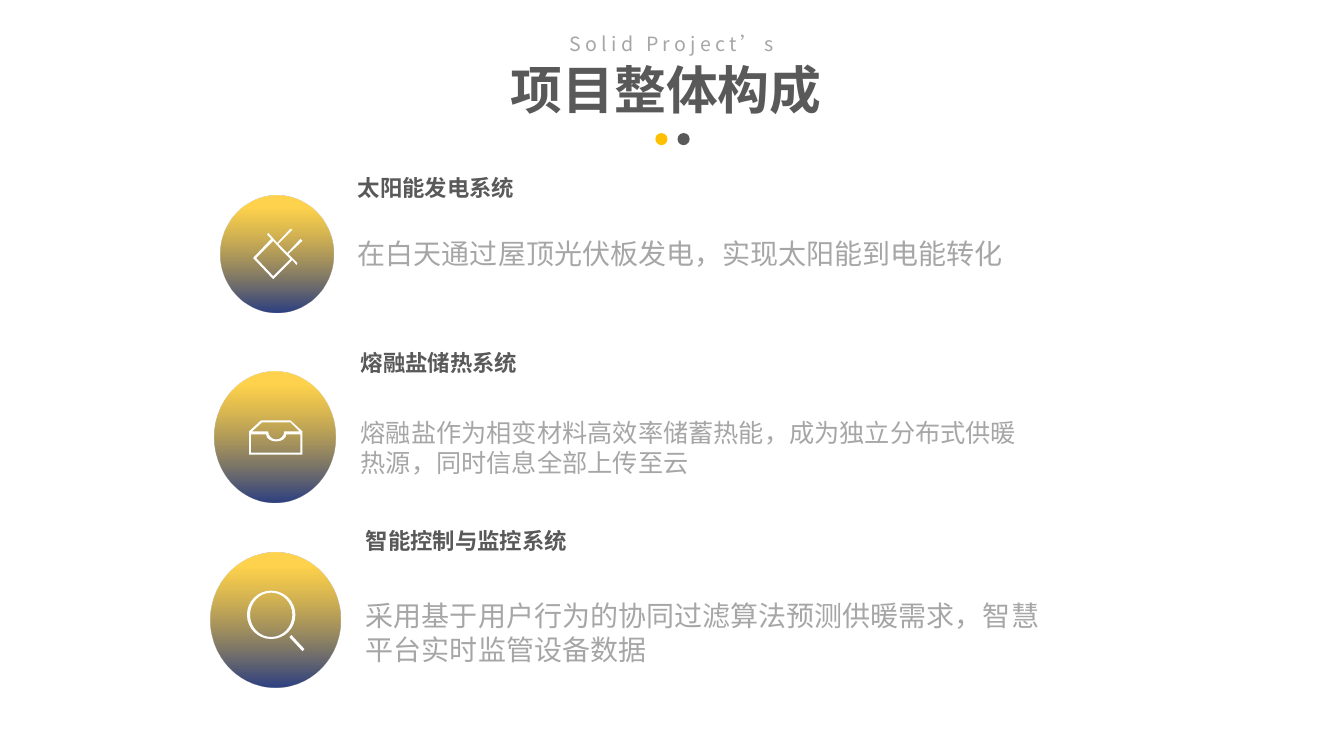
import math
from dataclasses import dataclass

from lxml import etree
from pptx import Presentation
from pptx.dml.color import RGBColor
from pptx.enum.shapes import MSO_SHAPE
from pptx.enum.text import MSO_ANCHOR, MSO_AUTO_SIZE, PP_ALIGN
from pptx.oxml.ns import qn
from pptx.shapes.autoshape import Shape
from pptx.slide import Slide
from pptx.text.text import TextFrame
from pptx.util import Inches, Pt

OVAL = MSO_SHAPE.OVAL
CENTER, LEFT = PP_ALIGN.CENTER, PP_ALIGN.LEFT
TOP = MSO_ANCHOR.TOP
NO_FIT, GROW = MSO_AUTO_SIZE.NONE, MSO_AUTO_SIZE.SHAPE_TO_FIT_TEXT
SECTION_LAYOUT = 2
QUARTER_BEND = 0.5523  # control distance of a Bezier quarter circle

# A step is (x, y) for a line, or two control points and an end for a curve.
Step = tuple[float, ...]
Contour = list[Step]
Box = tuple[float, float, float, float]


@dataclass(frozen=True)
class Theme:
    dark: RGBColor = RGBColor(0x59, 0x59, 0x59)
    muted: RGBColor = RGBColor(0xA6, 0xA6, 0xA6)
    accent: RGBColor = RGBColor(0xFF, 0xC0, 0x00)
    navy: RGBColor = RGBColor(0x2D, 0x40, 0x82)
    white: RGBColor = RGBColor(0xFF, 0xFF, 0xFF)
    display_font: str = "League Spartan"
    text_font: str = "Noto Sans CJK SC"
    heading_size: int = 37
    kicker_size: int = 14
    name_size: int = 16
    badge_opacity: int = 70


THEME = Theme()


@dataclass(frozen=True)
class TextStyle:
    size: int
    color: RGBColor
    bold: bool = False
    font: str = THEME.text_font
    tracking: int = 0
    align: PP_ALIGN = LEFT
    line_spacing: float = 1.0
    space_before: int = 0


@dataclass(frozen=True)
class System:
    name: str
    description: str
    name_box: Box
    description_box: Box
    description_size: int
    badge_box: Box
    icon: list[Contour]


def arc(cx: float, cy: float, rx: float, ry: float,
        start: int = 0, quarters: int = 4) -> Contour:
    """Start point and quarter curves; degrees run clockwise from the right."""
    turn = int(math.copysign(1, quarters))
    steps: Contour = []
    for i in range(abs(quarters) + 1):
        angle = math.radians(start + 90 * turn * i)
        cos, sin = math.cos(angle), math.sin(angle)
        x, y = cx + rx * cos, cy + ry * sin
        bend_x, bend_y = (-turn * QUARTER_BEND * rx * sin,
                          turn * QUARTER_BEND * ry * cos)
        steps.append((*leaving, x - bend_x, y - bend_y, x, y) if i else (x, y))
        leaving = (x + bend_x, y + bend_y)
    return steps


SOLAR_PLUG: list[Contour] = [
    [(3, 2.39), (2.98, 2.37), (2.85, 2.51), (2.76, 2.42), (2.9, 2.28),
     (2.88, 2.27), (2.75, 2.41), (2.66, 2.31), (2.65, 2.33), (2.69, 2.37),
     (2.51, 2.56), (2.71, 2.77), (2.9, 2.58), (2.94, 2.63), (2.95, 2.61),
     (2.86, 2.52)],
    [(2.71, 2.74), (2.54, 2.56), (2.71, 2.39), (2.79, 2.48), (2.88, 2.57)],
]
STORAGE_TRAY: list[Contour] = [
    [(2.88, 4.17), (2.59, 4.17), (2.47, 4.28), (2.47, 4.51), (3, 4.51),
     (3, 4.28)],
    [(2.6, 4.19), (2.88, 4.19), (2.97, 4.28),
     *arc(2.74, 4.28, 0.08, 0.08, 0, 2), (2.5, 4.28)],
    [(2.98, 4.49), (2.49, 4.49), (2.49, 4.31),
     *arc(2.74, 4.31, 0.1, 0.07, 180, -2), (2.98, 4.31)],
]
MAGNIFIER: list[Contour] = [
    arc(2.69, 6.1, 0.24, 0.24),
    arc(2.69, 6.1, 0.21, 0.22),
    [(2.89, 6.3), (2.87, 6.32), (3, 6.46), (3.02, 6.44)],
]

SYSTEMS = [
    System("太阳能发电系统", "在白天通过屋顶光伏板发电，实现太阳能到电能转化",
           (3.45, 1.68, 1.77, 0.37), (3.45, 2.3, 6.95, 0.44), 20,
           (2.19, 1.94, 1.12, 1.16), SOLAR_PLUG),
    System("熔融盐储热系统",
           "熔融盐作为相变材料高效率储蓄热能，成为独立分布式供暖热源，同时信息全部上传至云",
           (3.48, 3.41, 1.77, 0.37), (3.48, 4.09, 6.73, 0.71), 18,
           (2.13, 3.69, 1.2, 1.29), STORAGE_TRAY),
    System("智能控制与监控系统",
           "采用基于用户行为的协同过滤算法预测供暖需求，智慧平台实时监管设备数据",
           (3.53, 5.18, 2.22, 0.37), (3.53, 5.89, 7.12, 0.77), 20,
           (2.09, 5.48, 1.29, 1.34), MAGNIFIER),
]


def write(frame: TextFrame, text: str, style: TextStyle) -> None:
    frame.vertical_anchor = TOP
    paragraph = frame.paragraphs[0]
    paragraph.alignment = style.align
    paragraph.line_spacing = style.line_spacing
    paragraph.space_before = Pt(style.space_before)
    run = paragraph.add_run()
    run.text = text
    run.font.size = Pt(style.size)
    run.font.bold = style.bold
    run.font.color.rgb = style.color
    run.font.name = style.font
    properties = run.font._element
    east_asian = etree.Element(qn("a:ea"), typeface=THEME.text_font)
    properties.find(qn("a:latin")).addnext(east_asian)
    if style.tracking:
        properties.set("spc", str(style.tracking * 100))


def fill_placeholder(holder: Shape, box: Box, text: str, style: TextStyle) -> None:
    holder.left, holder.top, holder.width, holder.height = map(Inches, box)
    holder.text_frame.word_wrap = True
    holder.text_frame.auto_size = NO_FIT
    write(holder.text_frame, text, style)


def add_text(slide: Slide, box: Box, text: str, style: TextStyle, wrap: bool) -> None:
    frame = slide.shapes.add_textbox(*map(Inches, box)).text_frame
    frame.word_wrap = wrap
    frame.auto_size = GROW
    write(frame, text, style)


def add_oval(slide: Slide, box: Box) -> Shape:
    oval = slide.shapes.add_shape(OVAL, *map(Inches, box))
    oval.shadow.inherit = False
    oval.line.fill.background()
    return oval


def add_dot(slide: Slide, left: float, color: RGBColor) -> None:
    dot = add_oval(slide, (left, 1.32, 0.12, 0.12))
    dot.fill.solid()
    dot.fill.fore_color.rgb = color


def add_badge(slide: Slide, box: Box) -> None:
    """Circle fading from translucent yellow down to navy."""
    badge = add_oval(slide, box)
    badge.fill.gradient()
    badge.fill.gradient_angle = 270
    stops = badge.fill.gradient_stops
    for stop, position, color in zip(stops, (0.1, 1), (THEME.accent, THEME.navy)):
        stop.position = position
        stop.color.rgb = color
    yellow = badge._element.spPr.find(".//" + qn("a:srgbClr"))
    etree.SubElement(yellow, qn("a:alpha"), val=str(THEME.badge_opacity * 1000))


def add_icon(slide: Slide, contours: list[Contour]) -> None:
    """Build the outline from end points, then bend the curved steps."""
    outlines = [[tuple(map(Inches, step)) for step in c] for c in contours]
    builder = slide.shapes.build_freeform(*outlines[0][0])
    for index, outline in enumerate(outlines):
        if index:
            builder.move_to(*outline[0])
        builder.add_line_segments([step[-2:] for step in outline[1:]], close=True)
    icon = builder.convert_to_shape()
    steps = [step for outline in outlines for step in outline[1:]]
    for line, step in zip(list(icon._element.iter(qn("a:lnTo"))), steps):
        if len(step) == 2:
            continue
        curve = etree.Element(qn("a:cubicBezTo"))
        for x, y in zip(step[::2], step[1::2]):
            etree.SubElement(curve, qn("a:pt"), x=str(x - icon.left),
                             y=str(y - icon.top))
        line.getparent().replace(line, curve)
    icon.shadow.inherit = False
    icon.line.fill.background()
    icon.fill.solid()
    icon.fill.fore_color.rgb = THEME.white


def add_system(slide: Slide, system: System) -> None:
    add_text(slide, system.name_box, system.name,
             TextStyle(THEME.name_size, THEME.dark, bold=True), wrap=False)
    add_text(slide, system.description_box, system.description,
             TextStyle(system.description_size, THEME.muted, space_before=6), wrap=True)
    add_badge(slide, system.badge_box)
    add_icon(slide, system.icon)


def main() -> None:
    deck = Presentation()
    deck.slide_width, deck.slide_height = Inches(13.33), Inches(7.5)
    slide = deck.slides.add_slide(deck.slide_layouts[SECTION_LAYOUT])
    heading = TextStyle(THEME.heading_size, THEME.dark, True, THEME.display_font,
                        align=CENTER, line_spacing=0.8, space_before=10)
    kicker = TextStyle(THEME.kicker_size, THEME.muted, tracking=3,
                       align=CENTER, line_spacing=0.9, space_before=10)
    fill_placeholder(slide.shapes.title, (1.38, 0.64, 10.57, 0.64),
                     "项目整体构成 ", heading)
    fill_placeholder(slide.placeholders[1], (4.31, 0.29, 4.71, 0.33),
                     "Solid Project’s", kicker)
    for left, color in ((6.5, THEME.accent), (6.72, THEME.dark)):
        add_dot(slide, left, color)
    for system in SYSTEMS:
        add_system(slide, system)
    deck.save("out.pptx")


if __name__ == "__main__":
    main()
